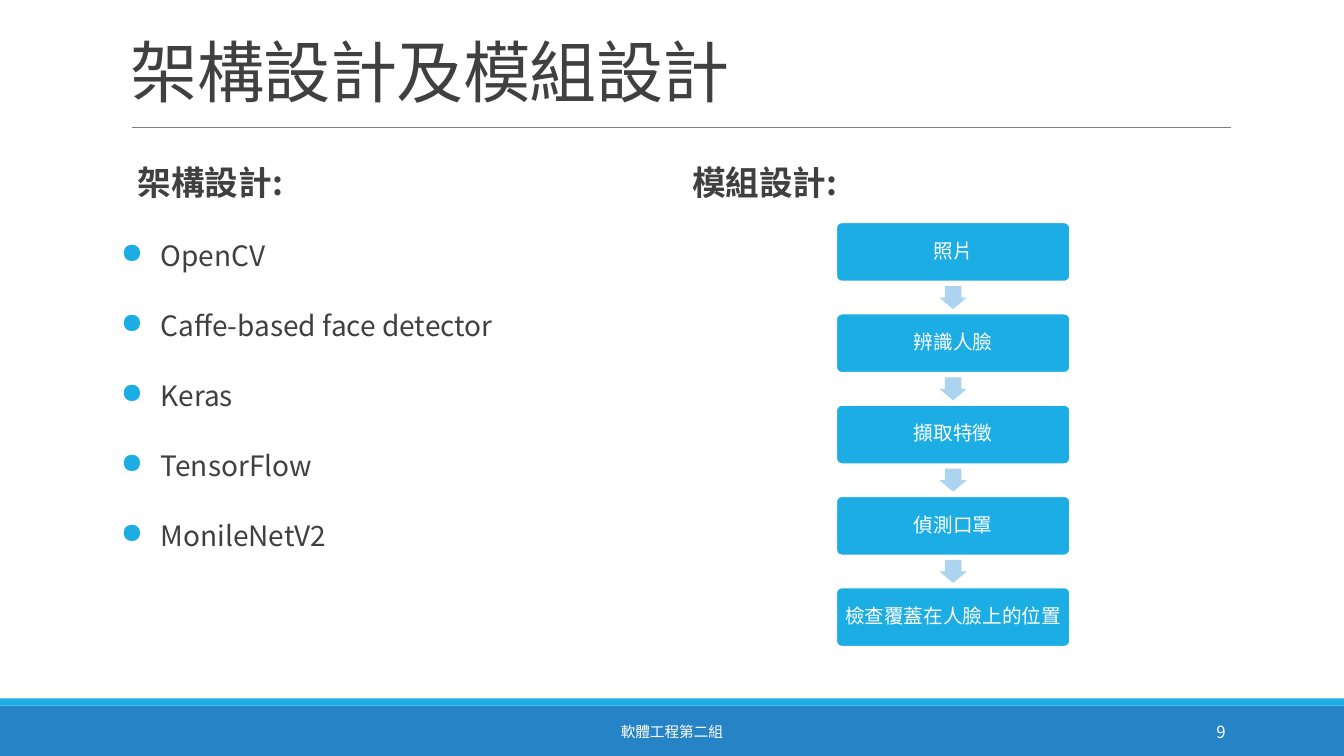
import pptx
import pptx.dml.color
import pptx.enum.shapes
import pptx.enum.text
import pptx.oxml
import pptx.oxml.ns
import pptx.util
from lxml import etree

Cm, Pt = pptx.util.Cm, pptx.util.Pt
SHAPE = pptx.enum.shapes.MSO_SHAPE
ALIGN = pptx.enum.text.PP_ALIGN
ANCHOR = pptx.enum.text.MSO_ANCHOR
qn = pptx.oxml.ns.qn

FONT = "Noto Sans CJK SC"
INK, WHITE, GRAY = "404040", "FFFFFF", "808080"
SKY, BLUE, PALE = "1CADE4", "2683C6", "ACD3EF"


def rgb(color):
    return pptx.dml.color.RGBColor.from_string(color)


class Builder:
    """Draws elements in one style on the current slide; lengths in cm."""

    def __init__(self, slide, font):
        self.slide = slide
        self.font = font

    def style(self, p, size, color, bold=False, align=ALIGN.LEFT, spacing=1.0,
              before=0, after=0, tracking=None):
        p.alignment = align
        p.line_spacing = spacing
        p.space_before, p.space_after = Pt(before), Pt(after)
        for r in p.runs:
            r.font.size, r.font.bold, r.font.name = Pt(size), bold, self.font
            r.font.color.rgb = rgb(color)
            rPr = r.font._element
            rPr.set("lang", "zh-TW")
            if tracking is not None:
                rPr.set("spc", str(int(tracking * 100)))
            etree.SubElement(rPr, qn("a:ea")).set("typeface", self.font)

    def bullet(self, p, char, color, indent=0.0):
        pPr = p._p.get_or_add_pPr()
        pPr.set("marL", str(Cm(indent)))
        pPr.set("indent", str(-Cm(indent)))
        buClr = etree.SubElement(pPr, qn("a:buClr"))
        etree.SubElement(buClr, qn("a:srgbClr")).set("val", color)
        etree.SubElement(pPr, qn("a:buChar")).set("char", char)

    def frame(self, sp, anchor, inset_x, inset_y):
        tf = sp.text_frame
        tf.word_wrap = True
        tf.vertical_anchor = anchor
        tf.margin_left = tf.margin_right = Cm(inset_x)
        tf.margin_top = tf.margin_bottom = Cm(inset_y)
        return tf

    def text(self, x, y, w, h, lines, anchor=ANCHOR.TOP, inset_x=0.25):
        """Adds a text box and returns its paragraphs."""
        sp = self.slide.shapes.add_textbox(Cm(x), Cm(y), Cm(w), Cm(h))
        tf = self.frame(sp, anchor, inset_x, 0.13)
        tf.text = "\n".join(lines)
        return tf.paragraphs

    def shape(self, kind, x, y, w, h, fill, line=None, adjust=()):
        sp = self.slide.shapes.add_shape(kind, Cm(x), Cm(y), Cm(w), Cm(h))
        sp.shadow.inherit = False
        sp.fill.solid()
        sp.fill.fore_color.rgb = rgb(fill)
        if line:
            sp.line.color.rgb = rgb(line)
            sp.line.width = Pt(2)
        else:
            sp.line.fill.background()
        for i, value in enumerate(adjust):
            sp.adjustments[i] = value
        return sp

    def step(self, x, y, w, h, label):
        sp = self.shape(SHAPE.ROUNDED_RECTANGLE, x, y, w, h, SKY, WHITE, [0.1])
        tf = self.frame(sp, ANCHOR.MIDDLE, 0.15, 0.15)
        tf.text = label
        self.style(tf.paragraphs[0], 14, WHITE, align=ALIGN.CENTER,
                   spacing=0.9, after=5)

    def rule(self, x1, x2, y, color, width):
        cn = self.slide.shapes.add_connector(
            pptx.enum.shapes.MSO_CONNECTOR.STRAIGHT, Cm(x1), Cm(y), Cm(x2), Cm(y))
        cn.line.color.rgb = rgb(color)
        cn.line.width = Pt(width)
        etree.SubElement(cn._element.spPr, qn("a:effectLst"))

    def column(self, x, heading, items=()):
        """Adds a bold heading followed by bulleted items."""
        paragraphs = self.text(x, 3.43, 13.97, 12.88, [heading, *items], inset_x=0)
        for i, p in enumerate(paragraphs):
            first = i == 0
            self.style(p, 24 if first else 20, INK, bold=first,
                       spacing=1.5, before=12, after=2)
            self.bullet(p, " " if first else "●", SKY, 0 if first else 1.0)


def main():
    prs = pptx.Presentation()
    prs.slide_width, prs.slide_height = Cm(33.87), Cm(19.05)
    s = prs.slides.add_slide(prs.slide_layouts[6])
    b = Builder(s, FONT)

    # Footer bands and title rule
    b.shape(SHAPE.RECTANGLE, 0, 17.78, 33.87, 1.27, BLUE)
    b.shape(SHAPE.RECTANGLE, 0, 17.6, 33.87, 0.18, SKY)
    b.rule(3.33, 31.01, 3.2, GRAY, 0.5)

    # Title
    title = b.text(3.05, 0.43, 27.94, 2.51, ["架構設計及模組設計"], ANCHOR.BOTTOM)
    b.style(title[0], 48, INK, spacing=0.85, tracking=-0.5)

    # Two columns
    b.column(3.05, "架構設計:", ["OpenCV", "Caffe-based face detector", "Keras",
                              "TensorFlow", "MonileNetV2"])
    b.column(17.02, "模組設計:")

    # Module flow: steps with an arrow centred in each gap
    steps = ["照片", "辨識人臉", "擷取特徵", "偵測口罩", "檢查覆蓋在人臉上的位置"]
    left, top, width, height, pitch = 21.06, 5.59, 5.92, 1.52, 2.3
    arrow_w, arrow_h = 0.69, 0.58
    for i, label in enumerate(steps):
        y = top + i * pitch
        b.step(left, y, width, height, label)
        if i < len(steps) - 1:
            b.shape(SHAPE.DOWN_ARROW, left + (width - arrow_w) / 2,
                    y + (height + pitch - arrow_h) / 2, arrow_w, arrow_h,
                    PALE, adjust=[0.6, 0.5])

    # Footer text and page number
    footer = b.text(10.24, 17.93, 13.39, 1.02, ["軟體工程第二組"], ANCHOR.MIDDLE)
    b.style(footer[0], 10.5, WHITE, align=ALIGN.CENTER)
    number = b.text(27.51, 17.93, 3.63, 1.02, ["9"], ANCHOR.MIDDLE)
    b.style(number[0], 12, WHITE, align=ALIGN.RIGHT)

    prs.save("out.pptx")


if __name__ == "__main__":
    main()
